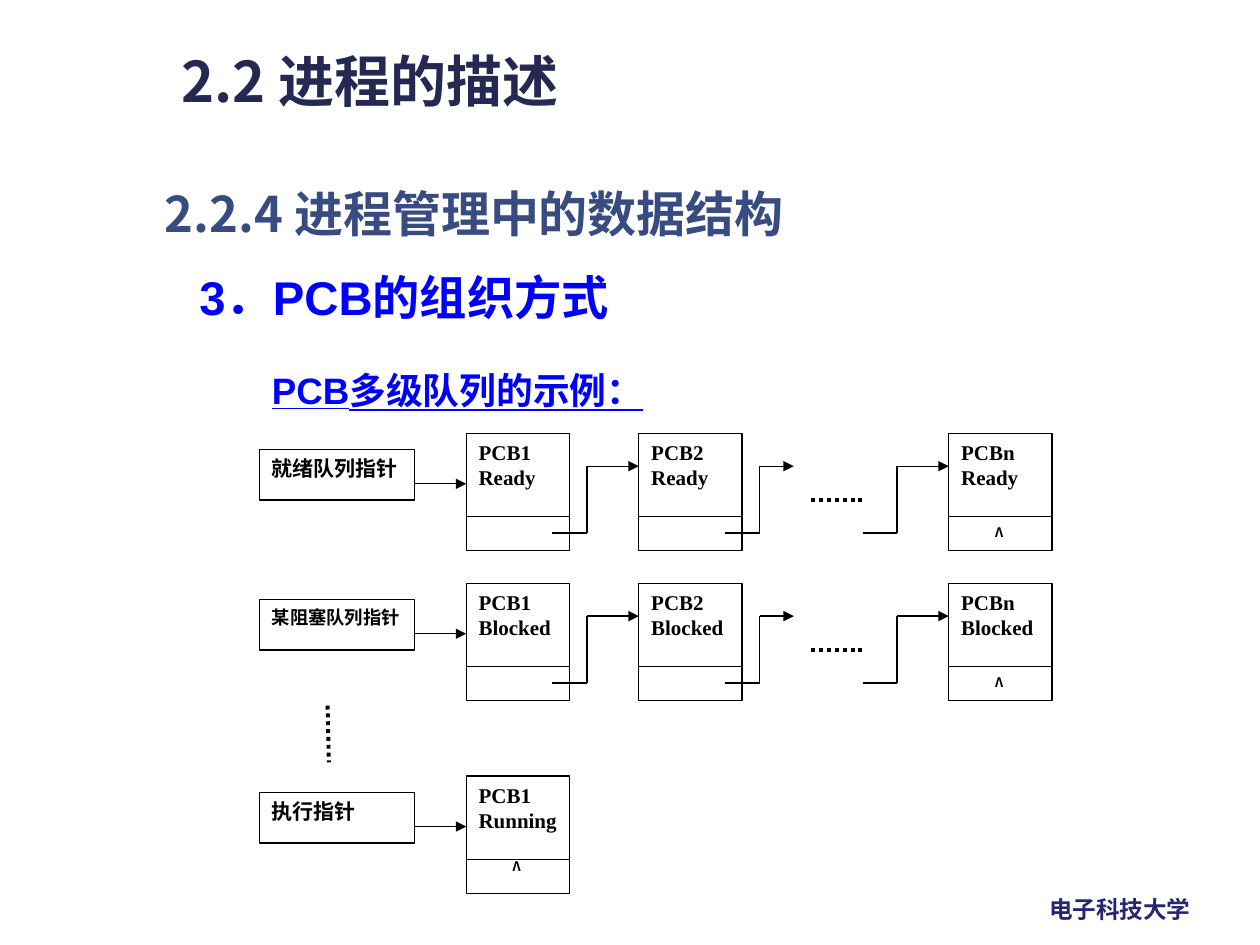
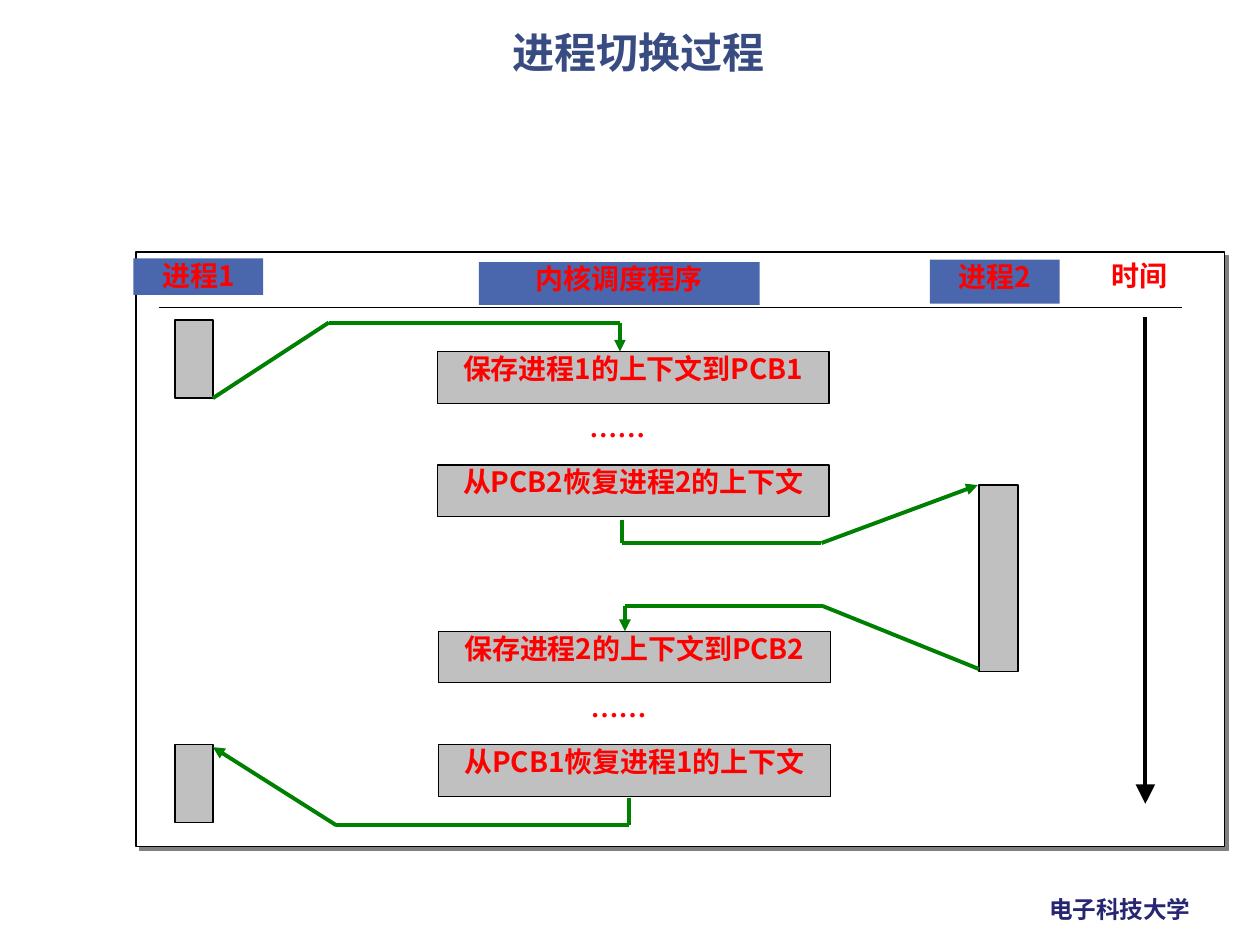
from dataclasses import dataclass
from itertools import pairwise

from lxml.etree import SubElement
from pptx import Presentation
from pptx.dml.color import RGBColor
from pptx.enum.dml import MSO_LINE
from pptx.enum.shapes import MSO_CONNECTOR, MSO_SHAPE
from pptx.enum.text import MSO_ANCHOR, PP_ALIGN
from pptx.oxml.ns import qn
from pptx.shapes.autoshape import Shape
from pptx.slide import Slide
from pptx.util import Inches, Pt

COLORS = {
    "white": "FFFFFF", "black": "000000", "navy": "242852", "slate": "384C81",
    "footer": "262673", "blue": "0000FF", "red": "FF0000", "green": "008000",
    "gray": "C0C0C0", "header": "4A66AC", "shadow": "808080",
}
CJK, SANS, SERIF = "Noto Sans CJK SC", "Arial", "Times New Roman"

Box = tuple[float, float, float, float]
Point = tuple[float, float]


@dataclass(frozen=True)
class TextStyle:
    size: float
    color: str
    font: str = CJK
    align: PP_ALIGN = PP_ALIGN.LEFT
    anchor: MSO_ANCHOR = MSO_ANCHOR.TOP
    margins: Point = (0.1, 0.05)
    underline: bool = False
    line_spacing: float = 1.0
    space_before: float = 0


@dataclass(frozen=True)
class Queue:
    top: float
    pointer: str
    pointer_size: float
    state: str
    chained: bool


@dataclass(frozen=True)
class Label:
    text: str
    box: Box


FOOTER = TextStyle(13.5, "footer")
SECTION = TextStyle(32, "navy")
SUBSECTION = TextStyle(28, "slate")
TOPIC = TextStyle(27, "blue", SANS, anchor=MSO_ANCHOR.MIDDLE)
EXAMPLE = TextStyle(21, "blue", SANS, PP_ALIGN.JUSTIFY, underline=True,
                    line_spacing=1.2, space_before=13.5)
PCB_TEXT = TextStyle(12, "black", SERIF, PP_ALIGN.JUSTIFY)
NULL_MARK = TextStyle(7.5, "black", align=PP_ALIGN.JUSTIFY)
SWITCH_TITLE = TextStyle(24, "slate", align=PP_ALIGN.CENTER, line_spacing=0.9)
HEADER = TextStyle(16, "red", align=PP_ALIGN.CENTER, margins=(0.1, 0))
STEP = TextStyle(16, "red", align=PP_ALIGN.CENTER, margins=(0, 0))
ELLIPSIS = TextStyle(16, "red", SERIF, PP_ALIGN.CENTER, margins=(0.1, 0))

# Queue diagram geometry
POINTER_X, POINTER_W, POINTER_H = 2.06, 1.23, 0.4
PCB_W, PCB_H, LINK_H = 0.82, 0.66, 0.27
FIRST_X, SECOND_X, LAST_X = 3.7, 5.07, 7.53
QUEUES = [
    Queue(3.44, "就绪队列指针", 12, "Ready", True),
    Queue(4.63, "某阻塞队列指针", 10.5, "Blocked", True),
    Queue(6.16, "执行指针", 12, "Running", False),
]

# Process switch geometry
HEADERS = [
    Label("进程1", (1.06, 2.05, 1.03, 0.29)),
    Label("进程2", (7.38, 2.06, 1.03, 0.35)),
    Label("内核调度程序", (3.8, 2.08, 2.23, 0.34)),
]
RUNNING_BARS: list[Box] = [
    (1.39, 2.54, 0.3, 0.62), (1.39, 5.91, 0.3, 0.62), (7.77, 3.85, 0.31, 1.48),
]
SWITCHES = [  # left, top, process saved, process restored
    (3.47, 2.79, 1, 2),
    (3.48, 5.01, 2, 1),
]
SWITCH_ROUTES: list[list[Point]] = [
    [(1.69, 3.16), (2.61, 2.56), (4.92, 2.56), (4.92, 2.79)],
    [(4.94, 4.13), (4.94, 4.31), (6.52, 4.31), (7.76, 3.85)],
    [(7.77, 5.31), (6.53, 4.81), (4.96, 4.81), (4.96, 5.01)],
    [(4.99, 6.33), (4.99, 6.55), (2.67, 6.55), (1.69, 5.93)],
]


def rgb(color: str) -> RGBColor:
    return RGBColor.from_string(COLORS[color])


def write(shape: Shape, text: str, style: TextStyle, wrap: bool = True) -> None:
    frame = shape.text_frame
    frame.word_wrap = wrap
    frame.vertical_anchor = style.anchor
    frame.margin_left = frame.margin_right = Inches(style.margins[0])
    frame.margin_top = frame.margin_bottom = Inches(style.margins[1])
    paragraph = frame.paragraphs[0]
    paragraph.alignment = style.align
    paragraph.line_spacing = style.line_spacing
    paragraph.space_before = Pt(style.space_before)
    run = paragraph.add_run()
    run.text = text
    run.font.name, run.font.size, run.font.bold = style.font, Pt(style.size), True
    run.font.underline = style.underline
    run.font.color.rgb = rgb(style.color)
    SubElement(run.font._element, qn("a:ea"), typeface=CJK)


def add_text(slide: Slide, text: str, box: Box, style: TextStyle, wrap: bool = True) -> None:
    write(slide.shapes.add_textbox(*map(Inches, box)), text, style, wrap)


def add_box(slide: Slide, box: Box, fill: str | None = None, line: str | None = "black",
            text: str = "", style: TextStyle = PCB_TEXT) -> Shape:
    shape = slide.shapes.add_shape(MSO_SHAPE.RECTANGLE, *map(Inches, box))
    shape.shadow.inherit = False
    if fill:
        shape.fill.solid()
        shape.fill.fore_color.rgb = rgb(fill)
    else:
        shape.fill.background()
    if line:
        shape.line.color.rgb = rgb(line)
        shape.line.width = Pt(0.75)
    else:
        shape.line.fill.background()
    if text:
        write(shape, text, style)
    return shape


def add_route(slide: Slide, points: list[Point], color: str = "black", width: float = 0.75,
              arrow: str | None = "med", dotted: bool = False) -> None:
    """Join the points with straight lines; the last one carries the arrowhead."""
    for start, end in pairwise(points):
        segment = slide.shapes.add_connector(
            MSO_CONNECTOR.STRAIGHT, *map(Inches, (*start, *end)))
        segment.line.color.rgb = rgb(color)
        segment.line.width = Pt(width)
        if dotted:
            segment.line.dash_style = MSO_LINE.ROUND_DOT
        SubElement(segment._element.spPr, qn("a:effectLst"))
    if arrow:
        SubElement(segment.line._get_or_add_ln(), qn("a:tailEnd"),
                   type="triangle", w=arrow, len=arrow)


def add_hard_shadow(shape: Shape) -> None:
    effects = shape._element.spPr.find(qn("a:effectLst"))
    shadow = SubElement(effects, qn("a:outerShdw"), dist=str(Pt(2.8)), dir="2700000",
                        algn="ctr", rotWithShape="0")
    SubElement(shadow, qn("a:srgbClr"), val=COLORS["shadow"])


def add_slide(deck: Presentation) -> Slide:
    slide = deck.slides.add_slide(deck.slide_layouts[6])
    add_text(slide, "电子科技大学", (8.23, 7.05, 1.34, 0.33), FOOTER, wrap=False)
    return slide


def add_pcb(slide: Slide, left: float, top: float, text: str, link_fill: str | None) -> None:
    add_box(slide, (left, top, PCB_W, PCB_H), text=text)
    add_box(slide, (left, top + PCB_H, PCB_W, LINK_H), link_fill)


def add_queue(slide: Slide, queue: Queue) -> None:
    top = queue.top
    entry_y, exit_y, pointer_y = top + 0.26, top + 0.79, top + 0.4

    # Queue pointer
    pointer_style = TextStyle(queue.pointer_size, "black", SERIF, PP_ALIGN.JUSTIFY)
    add_box(slide, (POINTER_X, top + 0.13, POINTER_W, POINTER_H), "white",
            text=queue.pointer, style=pointer_style)
    add_route(slide, [(POINTER_X + POINTER_W, pointer_y), (FIRST_X, pointer_y)])

    # First control block, alone or followed by a chain
    add_pcb(slide, FIRST_X, top, f"PCB1 {queue.state}", "white" if queue.chained else None)
    if not queue.chained:
        add_text(slide, "Λ", (FIRST_X + 0.27, top + 0.6, 0.41, 0.4), NULL_MARK)
        return
    add_pcb(slide, SECOND_X, top, f"PCB2 {queue.state}", "white")
    add_pcb(slide, LAST_X, top, f"PCBn {queue.state}", None)
    add_text(slide, "Λ", (LAST_X + 0.27, top + 0.67, 0.41, 0.4), NULL_MARK)

    # Links between blocks
    for start, bend, end in [(4.38, 4.66, SECOND_X), (5.75, 6.03, 6.3), (6.85, 7.12, LAST_X)]:
        add_route(slide, [(start, exit_y), (bend, exit_y), (bend, entry_y), (end, entry_y)])
    add_route(slide, [(6.44, top + 0.53), (6.85, top + 0.53)], width=2.25,
              arrow=None, dotted=True)


def build_queue_slide(deck: Presentation) -> None:
    slide = add_slide(deck)
    # Headings
    add_text(slide, "2.2 进程的描述", (1.34, 0.32, 5.02, 0.66), SECTION)
    add_text(slide, "2.2.4 进程管理中的数据结构", (1.21, 1.41, 6.72, 0.72), SUBSECTION)
    add_text(slide, " 3．PCB的组织方式", (1.38, 2.03, 6.81, 0.65), TOPIC)
    add_text(slide, "PCB多级队列的示例：", (2.06, 2.8, 7.76, 0.53), EXAMPLE)
    # Queues
    for queue in QUEUES:
        add_queue(slide, queue)
    add_route(slide, [(2.6, 5.6), (2.61, 6.05)], width=2.25, arrow=None, dotted=True)


def build_switch_slide(deck: Presentation) -> None:
    slide = add_slide(deck)
    add_text(slide, "进程切换过程", (1.06, 0.21, 8.02, 0.6), SWITCH_TITLE)
    add_hard_shadow(add_box(slide, (1.08, 2, 8.64, 4.72), "white"))

    # Column headers
    for header in HEADERS:
        add_box(slide, header.box, "header", None, header.text, HEADER)
    add_text(slide, "时间", (8.53, 2.05, 1.03, 0.37), HEADER)
    add_route(slide, [(1.26, 2.44), (9.38, 2.44)], arrow=None)

    # Running periods of the processes
    for bar in RUNNING_BARS:
        add_box(slide, bar, "gray")

    # Kernel steps: save one context, restore the other
    for left, top, saved, restored in SWITCHES:
        steps = [f"保存进程{saved}的上下文到PCB{saved}",
                 f"从PCB{restored}恢复进程{restored}的上下文"]
        for index, step in enumerate(steps):
            add_box(slide, (left, top + 0.9 * index, 3.11, 0.41), "gray", text=step, style=STEP)
        add_text(slide, "……", (left + 0.78, top + 0.46, 1.3, 0.41), ELLIPSIS)

    # Control flow and time axis
    for route in SWITCH_ROUTES:
        add_route(slide, route, "green", 2.25)
    add_route(slide, [(9.09, 2.52), (9.09, 6.38)], width=2.25, arrow="lg")


def main() -> None:
    deck = Presentation()
    deck.slide_width, deck.slide_height = Inches(10), Inches(7.5)
    build_queue_slide(deck)
    build_switch_slide(deck)
    deck.save("out.pptx")


if __name__ == "__main__":
    main()
